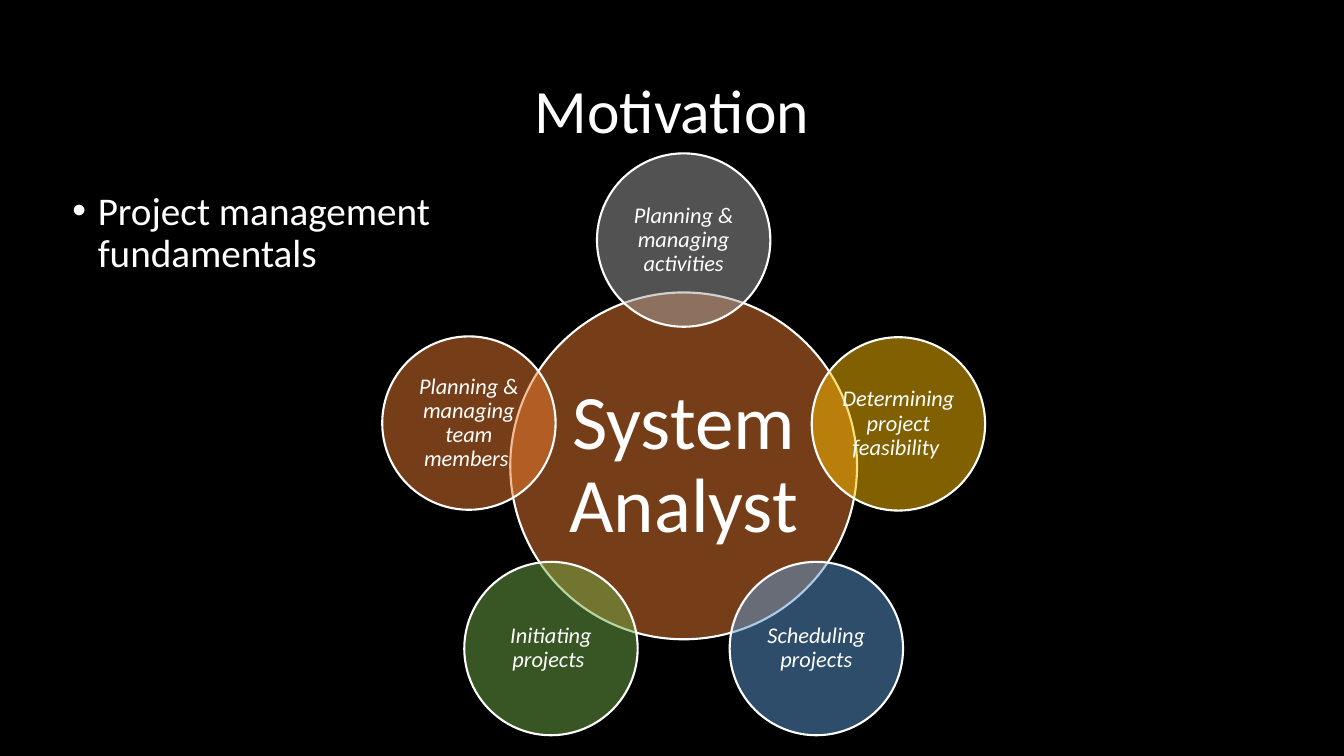
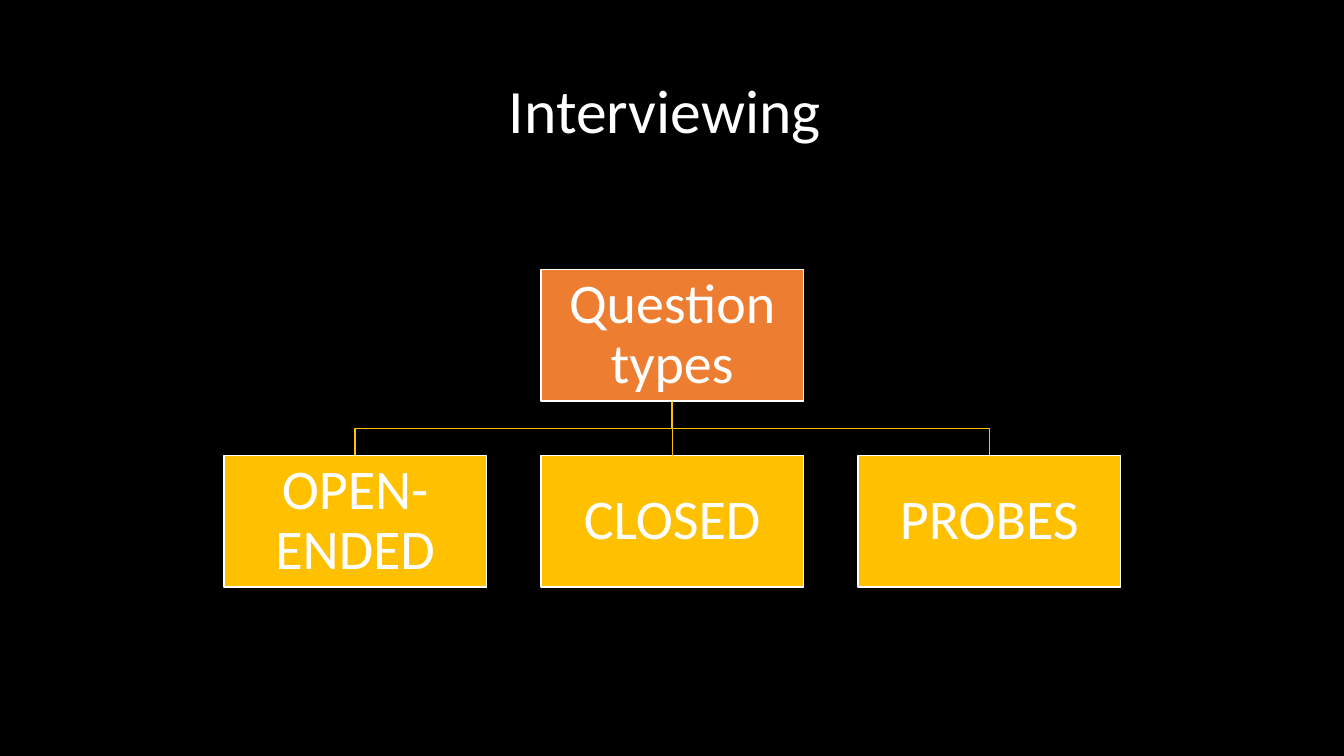
"""Build two dark slides: a radial diagram of the analyst's work and a tree of question types."""
from math import cos, radians, sin

from lxml import etree
from pptx import Presentation
from pptx.dml.color import RGBColor
from pptx.enum.shapes import MSO_CONNECTOR, MSO_SHAPE
from pptx.enum.text import MSO_ANCHOR, MSO_AUTO_SIZE, PP_ALIGN
from pptx.oxml.ns import qn
from pptx.util import Cm, Pt

OVAL = MSO_SHAPE.OVAL
RECTANGLE = MSO_SHAPE.RECTANGLE
STRAIGHT = MSO_CONNECTOR.STRAIGHT
CENTER = PP_ALIGN.CENTER
MIDDLE = MSO_ANCHOR.MIDDLE
NO_AUTOFIT = MSO_AUTO_SIZE.NONE

FONT = "Calibri"
BLACK = "000000"
WHITE = "FFFFFF"
ORANGE = "ED7D31"
GRAY = "A5A5A5"
GOLD = "FFC000"
BLUE = "5B9BD5"
GREEN = "70AD47"

BOTTOM_SIDE, TOP_SIDE = 2, 0


def color(hex_string):
    return RGBColor.from_string(hex_string)


def add_node(slide, kind, center_x, center_y, width, height, fill, line_width, inset, text, size):
    shape = slide.shapes.add_shape(
        kind, Cm(center_x - width / 2), Cm(center_y - height / 2), Cm(width), Cm(height)
    )
    shape.shadow.inherit = False
    shape.fill.solid()
    shape.fill.fore_color.rgb = color(fill)
    shape.line.color.rgb = color(WHITE)
    shape.line.width = Pt(line_width)
    frame = shape.text_frame
    frame.word_wrap = True
    frame.vertical_anchor = MIDDLE
    frame.margin_left = frame.margin_right = Cm(inset)
    frame.margin_top = frame.margin_bottom = Cm(inset)
    paragraph = frame.paragraphs[0]
    paragraph.alignment = CENTER
    paragraph.line_spacing = 0.9
    run = paragraph.add_run()
    run.text = text
    run.font.name = FONT
    run.font.size = Pt(size)
    run.font.color.rgb = color(WHITE)
    return shape


presentation = Presentation()
presentation.slide_width = Cm(33.87)
presentation.slide_height = Cm(19.05)

master = presentation.slide_master
master.background.fill.solid()
master.background.fill.fore_color.rgb = color(BLACK)

motivation = presentation.slides.add_slide(presentation.slide_layouts[1])
interviewing = presentation.slides.add_slide(presentation.slide_layouts[5])

for slide, title_text in ((motivation, "Motivation"), (interviewing, "Interviewing ")):
    title = slide.shapes.title
    title.left, title.top, title.width, title.height = Cm(2.33), Cm(1.01), Cm(29.21), Cm(3.68)
    title.text_frame.auto_size = NO_AUTOFIT
    title.text_frame.vertical_anchor = MIDDLE
    paragraph = title.text_frame.paragraphs[0]
    paragraph.alignment = CENTER
    paragraph.line_spacing = 0.9
    run = paragraph.add_run()
    run.text = title_text
    run.font.name = FONT
    run.font.size = Pt(44)
    run.font.color.rgb = color(WHITE)

body = motivation.placeholders[1]
body.left, body.top, body.width, body.height = Cm(1.57), Cm(4.7), Cm(29.97), Cm(12.47)
body.text_frame.auto_size = NO_AUTOFIT
paragraph = body.text_frame.paragraphs[0]
paragraph.line_spacing = 0.9
paragraph.space_before = Pt(10)
for index, line_text in enumerate(("Project management", "fundamentals")):
    if index:
        paragraph.add_line_break()
    run = paragraph.add_run()
    run.text = line_text
    run.font.name = FONT
    run.font.size = Pt(28)
    run.font.color.rgb = color(WHITE)
properties = paragraph._p.get_or_add_pPr()
properties.set("marL", str(Cm(0.64)))
properties.set("indent", str(-Cm(0.64)))
bullet_color = etree.SubElement(properties, qn("a:buClr"))
etree.SubElement(bullet_color, qn("a:srgbClr"), val=WHITE)

HUB_X, HUB_Y = 17.23, 11.74
HUB_SIZE, DUTY_SIZE = 8.74, 4.37
ORBIT = 5.69
DUTIES = (
    ("Planning & managing activities", GRAY, 0),
    ("Determining project feasibility ", GOLD, 0.7),
    ("Scheduling projects", BLUE, 0),
    ("Initiating projects ", GREEN, 0),
    ("Planning & managing team members ", ORANGE, 0.68),
)

circles = [
    add_node(motivation, OVAL, HUB_X, HUB_Y, HUB_SIZE, HUB_SIZE, ORANGE, 1.5, 0.2,
             "System Analyst ", 55)
]
for index, (duty, fill, drop) in enumerate(DUTIES):
    angle = radians(index * 360 / len(DUTIES))
    center_x = HUB_X + ORBIT * sin(angle)
    center_y = HUB_Y - ORBIT * cos(angle) + drop
    circle = add_node(motivation, OVAL, center_x, center_y, DUTY_SIZE, DUTY_SIZE, fill, 1.5, 0.05,
                      duty, 16)
    circle.text_frame.paragraphs[0].runs[0].font.italic = True
    circles.append(circle)
for circle in circles:
    fill_color = circle._element.spPr.find(qn("a:solidFill")).find(qn("a:srgbClr"))
    etree.SubElement(fill_color, qn("a:alpha"), val="50000")

BOX_WIDTH, BOX_HEIGHT = 6.61, 3.31
COLUMN_STEP, ROW_STEP = 7.99, 4.69
ROOT_X, ROOT_Y = 16.94, 8.45
CHILD_Y = ROOT_Y + ROW_STEP
BUS_Y = ROOT_Y + ROW_STEP / 2
QUESTION_TYPES = ("OPEN-ENDED", "CLOSED", "PROBES")

branches = []
for column_x in (ROOT_X + COLUMN_STEP, ROOT_X - COLUMN_STEP):
    outline = interviewing.shapes.build_freeform(Cm(ROOT_X), Cm(ROOT_Y + BOX_HEIGHT / 2))
    outline.add_line_segments(
        [
            (Cm(ROOT_X), Cm(BUS_Y)),
            (Cm(column_x), Cm(BUS_Y)),
            (Cm(column_x), Cm(CHILD_Y - BOX_HEIGHT / 2)),
        ],
        close=False,
    )
    branch = outline.convert_to_shape()
    branch.shadow.inherit = False
    branch.fill.background()
    branches.append(branch)

root = add_node(interviewing, RECTANGLE, ROOT_X, ROOT_Y, BOX_WIDTH, BOX_HEIGHT, ORANGE, 1, 0.07,
                "Question types", 40)
boxes = [
    add_node(interviewing, RECTANGLE, ROOT_X + (index - 1) * COLUMN_STEP, CHILD_Y,
             BOX_WIDTH, BOX_HEIGHT, GOLD, 1, 0.07, question_type, 40)
    for index, question_type in enumerate(QUESTION_TYPES)
]

trunk = interviewing.shapes.add_connector(
    STRAIGHT, Cm(ROOT_X), root.top + root.height, Cm(ROOT_X), boxes[1].top
)
trunk.begin_connect(root, BOTTOM_SIDE)
trunk.end_connect(boxes[1], TOP_SIDE)
etree.SubElement(trunk._element.spPr, qn("a:effectLst"))
branches.append(trunk)
for branch in branches:
    branch.line.color.rgb = color(GOLD)
    branch.line.width = Pt(1)

presentation.save("out.pptx")
